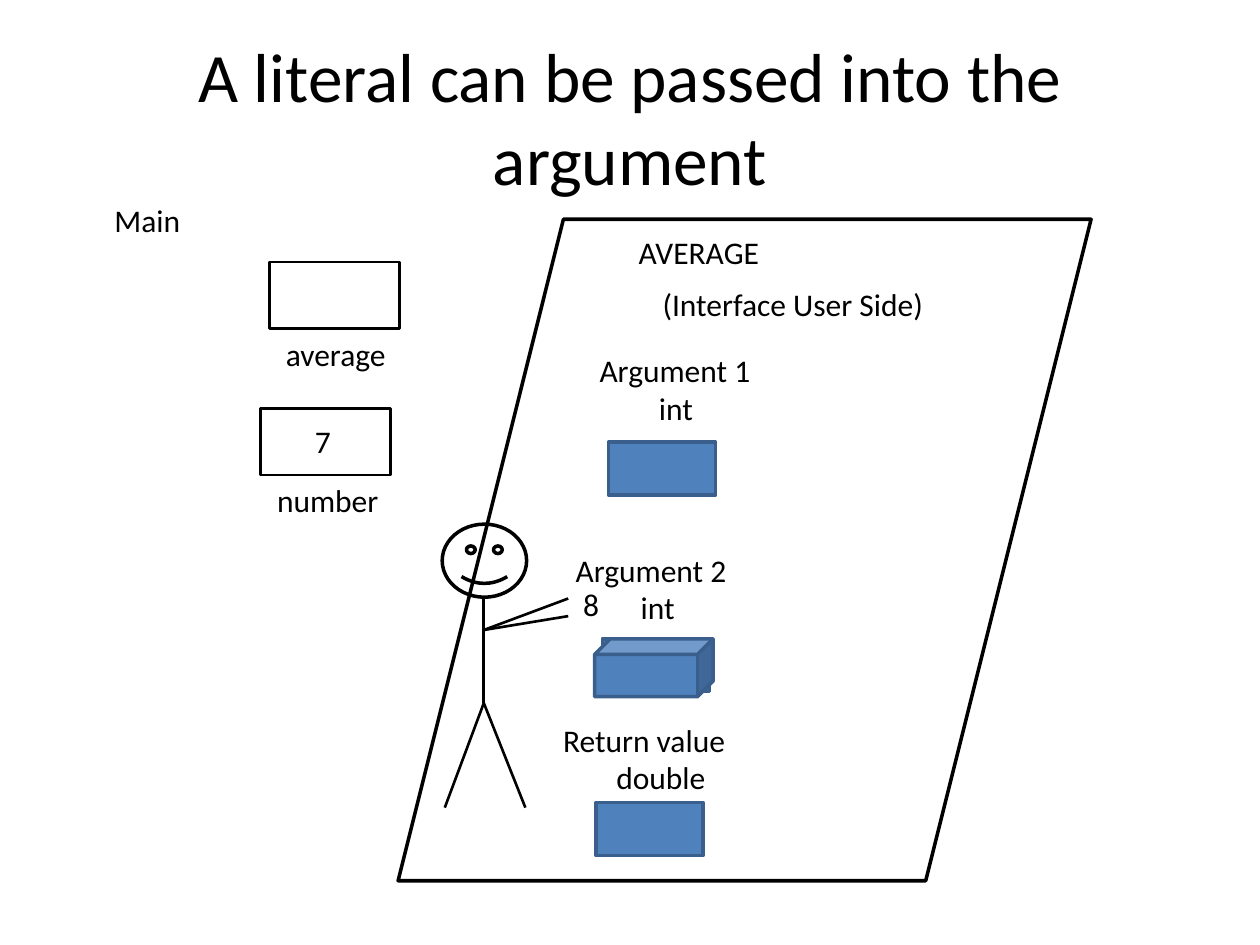
"""Build a slide showing a literal passed into a function argument."""
from lxml.etree import SubElement
from pptx import Presentation
from pptx.dml.color import RGBColor
from pptx.enum.shapes import MSO_CONNECTOR, MSO_SHAPE
from pptx.enum.text import MSO_ANCHOR, MSO_AUTO_SIZE, PP_ALIGN
from pptx.oxml.ns import qn
from pptx.util import Pt

PX = 9144
BLACK, BLUE, NAVY = "000000", "4F81BD", "3A5F8C"

deck = Presentation()
deck.slide_width, deck.slide_height = 1000 * PX, 750 * PX
slide = deck.slides.add_slide(deck.slide_layouts[5])


def write(box, text, size=18, color=BLACK, first=PP_ALIGN.LEFT, wrap=True, anchor=MSO_ANCHOR.TOP):
    frame = box.text_frame
    frame.text = text
    frame.word_wrap = wrap
    frame.auto_size = MSO_AUTO_SIZE.NONE
    frame.vertical_anchor = anchor
    for row, para in enumerate(frame.paragraphs):
        para.alignment = PP_ALIGN.CENTER if row else first
        para.font.name = "Calibri"
        para.font.size = Pt(size)
        para.font.color.rgb = RGBColor.from_string(color)


def draw(shapes, kind, left, top, width, height, fill=None, line=BLACK, weight=2):
    shape = shapes.add_shape(kind, left * PX, top * PX, width * PX, height * PX)
    shape.shadow.inherit = False
    if fill:
        shape.fill.solid()
        shape.fill.fore_color.rgb = RGBColor.from_string(fill)
    else:
        shape.fill.background()
    shape.line.color.rgb = RGBColor.from_string(line)
    shape.line.width = Pt(weight)
    return shape


title = slide.shapes.title
title.left, title.top, title.width, title.height = 50 * PX, 30 * PX, 900 * PX, 125 * PX
write(title, "A literal can be passed into the argument", size=39.6,
      first=PP_ALIGN.CENTER, anchor=MSO_ANCHOR.MIDDLE)

draw(slide.shapes, MSO_SHAPE.PARALLELOGRAM, 316, 174, 550, 525)
for left, top in [(214, 208), (207, 324)]:
    draw(slide.shapes, MSO_SHAPE.RECTANGLE, left, top, 103, 53, weight=1.5)
for left, top in [(483, 351), (478, 507), (473, 637)]:
    draw(slide.shapes, MSO_SHAPE.RECTANGLE, left, top, 85, 42, fill=BLUE, line=NAVY)
cube = draw(slide.shapes, MSO_SHAPE.CUBE, 472, 507, 94, 46, fill=BLUE, line=NAVY)
cube.adjustments[0] = 0.27

man = slide.shapes.add_group_shape()
draw(man.shapes, MSO_SHAPE.SMILEY_FACE, 351, 416, 67, 58)
neck, hip, arm = (384, 475), (384, 558), (384, 500)
limbs = [(neck, hip), (hip, (353, 641)), (hip, (417, 641)), (arm, (451, 475)), (arm, (451, 489))]
for start, end in limbs:
    limb = man.shapes.add_connector(MSO_CONNECTOR.STRAIGHT, *[n * PX for n in start + end])
    limb.line.color.rgb = RGBColor.from_string(BLACK)
    limb.line.width = Pt(1.5)
    SubElement(limb._element.spPr, qn("a:effectLst"))

labels = [
    ("Main", 81, 155, 92, 40),
    ("average", 217, 261, 101, 40),
    ("7", 240, 330, 36, 40),
    ("number", 210, 377, 101, 40),
    ("AVERAGE", 497, 180, 200, 40),
    ("(Interface User Side)", 516, 221, 232, 40),
    ("Argument 1\nint", 466, 274, 141, 71),
    ("Argument 2\nint", 447, 432, 150, 71),
    ("Return value\ndouble", 437, 567, 175, 71),
    ("8", 453, 459, 30, 40),
]
for text, left, top, width, height in labels:
    box = slide.shapes.add_textbox(left * PX, top * PX, width * PX, height * PX)
    write(box, text, wrap=text != "Argument 1\nint")

deck.save("out.pptx")
